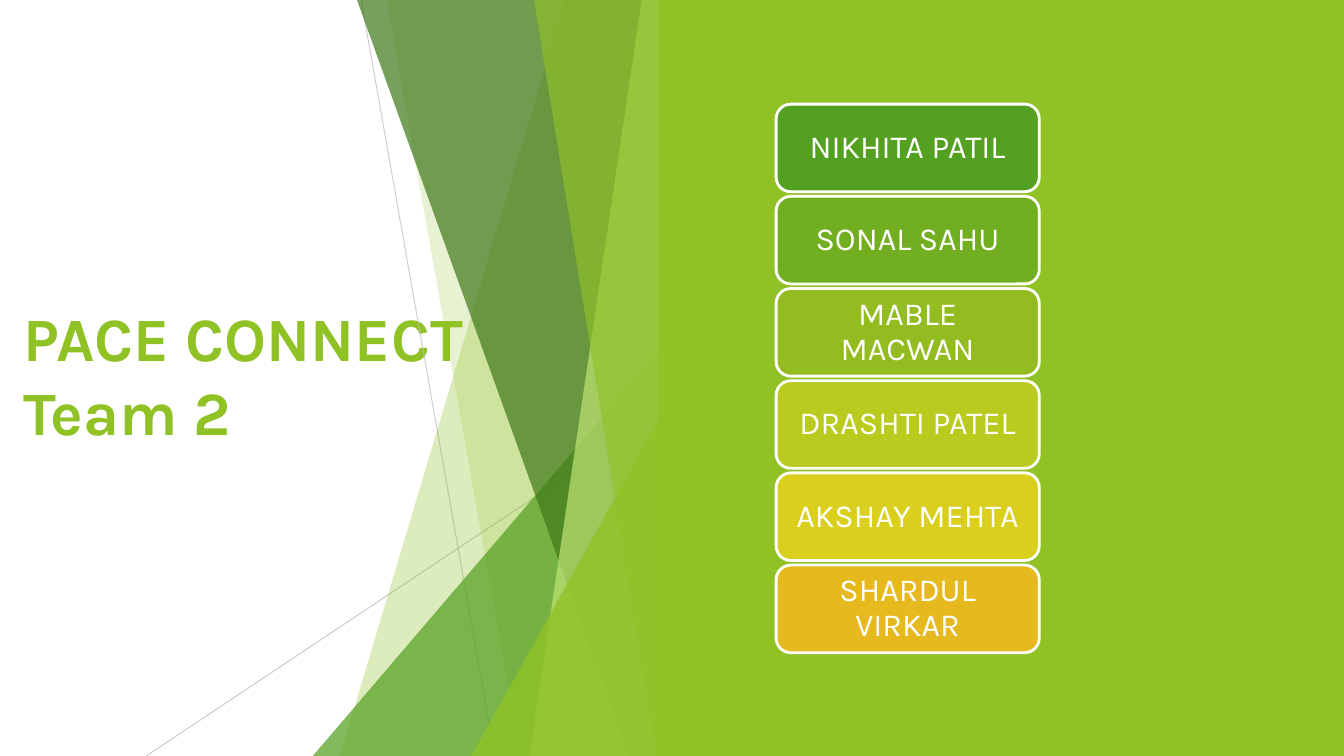
from lxml.etree import SubElement
from pptx import Presentation
from pptx.dml.color import RGBColor
from pptx.enum.shapes import MSO_CONNECTOR, MSO_SHAPE
from pptx.enum.text import MSO_ANCHOR, PP_ALIGN
from pptx.oxml.ns import qn
from pptx.util import Pt

WHITE = RGBColor(0xFF, 0xFF, 0xFF)
GRAY = RGBColor(0xBF, 0xBF, 0xBF)
LIME = RGBColor(0x90, 0xC2, 0x26)
GREEN = RGBColor(0x54, 0xA0, 0x21)
DARK = RGBColor(0x3F, 0x78, 0x19)
PALE = RGBColor(0xC0, 0xE4, 0x74)
FONT = "Karla"

TITLE = "PACE CONNECT\vTeam 2"
TEAM = [
    ("NIKHITA PATIL", GREEN),
    ("SONAL SAHU", RGBColor(0x71, 0xAE, 0x20)),
    ("MABLE MACWAN", RGBColor(0x92, 0xBC, 0x1F)),
    ("DRASHTI PATEL", RGBColor(0xB9, 0xCB, 0x1E)),
    ("AKSHAY MEHTA", RGBColor(0xDA, 0xCF, 0x1C)),
    ("SHARDUL VIRKAR", RGBColor(0xE6, 0xB9, 0x1E)),
]

WIDE, HIGH = 960, 540
EDGE = 479.8  # right side shared by all facets
# Start x, start y, end x, end y, opacity in percent
RAYS = [(258, 0, 353.5, HIGH, 75), (EDGE, 290, 104.5, HIGH, 80)]
# Bands: top-left x, bottom-left x, colour, opacity
# Wedges: left x, top y, colour, opacity
FACETS = [
    ("band", 404, 242.8, LIME, 30),
    ("band", 276.2, 371.8, LIME, 20),
    ("wedge", 223.4, 240, GREEN, 72),
    ("band", 255, 449.4, DARK, 70),
    ("band", 458.4, 378.2, PALE, 70),
    ("band", 381.4, 469, LIME, 65),
    ("wedge", 336.6, 283, LIME, 80),
]
PANEL = 470.5
TILE_X, TILE_Y, TILE_W, TILE_H, STEP = 554.4, 74.4, 188, 62.6, 65.85


def fade(fill, amount):
    """Set the opacity of a solid fill, in percent."""
    color = fill._xPr.find(qn("a:solidFill"))[0]
    SubElement(color, qn("a:alpha")).set("val", str(amount * 1000))


def paint(shape, color, amount=100):
    shape.shadow.inherit = False
    shape.fill.solid()
    shape.fill.fore_color.rgb = color
    shape.line.fill.background()
    if amount < 100:
        fade(shape.fill, amount)


def write(shape, text, size, color, bold=False):
    frame = shape.text_frame
    frame.text = text
    frame.word_wrap = True
    frame.vertical_anchor = MSO_ANCHOR.MIDDLE
    para = frame.paragraphs[0]
    for run in para.runs:
        run.font.name = FONT
        run.font.size = Pt(size)
        run.font.bold = bold
        run.font.color.rgb = color
    return para


def add_ray(shapes, x1, y1, x2, y2, amount):
    ray = shapes.add_connector(
        MSO_CONNECTOR.STRAIGHT, Pt(x1), Pt(y1), Pt(x2), Pt(y2))
    ray.line.color.rgb = GRAY
    ray.line.width = Pt(0.75)
    fade(ray.line.fill, amount)
    SubElement(ray._element.spPr, qn("a:effectLst"))


def add_band(shapes, top, base):
    """Add a full-height facet with a slanted left side."""
    pen = shapes.build_freeform(Pt(top), 0)
    pen.add_line_segments([
        (Pt(EDGE), 0), (Pt(EDGE), Pt(HIGH)), (Pt(base), Pt(HIGH))])
    return pen.convert_to_shape()


def add_wedge(shapes, left, top):
    """Add a triangle standing in the lower right corner of the facets."""
    wedge = shapes.add_shape(
        MSO_SHAPE.ISOSCELES_TRIANGLE,
        Pt(left), Pt(top), Pt(EDGE - left), Pt(HIGH - top))
    wedge.adjustments[0] = 1
    return wedge


def add_tile(shapes, row, name, color):
    tile = shapes.add_shape(
        MSO_SHAPE.ROUNDED_RECTANGLE,
        Pt(TILE_X), Pt(TILE_Y + row * STEP), Pt(TILE_W), Pt(TILE_H))
    paint(tile, color)
    tile.line.color.rgb = WHITE
    tile.line.width = Pt(2)
    para = write(tile, name, 23, WHITE)
    para.alignment = PP_ALIGN.CENTER
    para.line_spacing = 0.9
    tile.text_frame.margin_left = tile.text_frame.margin_right = Pt(7.5)


def main():
    deck = Presentation()
    deck.slide_width, deck.slide_height = Pt(WIDE), Pt(HIGH)
    shapes = deck.slides.add_slide(deck.slide_layouts[6]).shapes

    title = shapes.add_textbox(Pt(9.4), Pt(106), Pt(387), Pt(322.5))
    write(title, TITLE, 44, LIME, bold=True)

    for ray in RAYS:
        add_ray(shapes, *ray)
    draw = {"band": add_band, "wedge": add_wedge}
    for kind, first, second, color, amount in FACETS:
        paint(draw[kind](shapes, first, second), color, amount)

    panel = shapes.add_shape(
        MSO_SHAPE.RECTANGLE, Pt(PANEL), 0, Pt(WIDE - PANEL), Pt(HIGH))
    paint(panel, LIME)
    for row, (name, color) in enumerate(TEAM):
        add_tile(shapes, row, name, color)

    deck.save("out.pptx")


if __name__ == "__main__":
    main()
